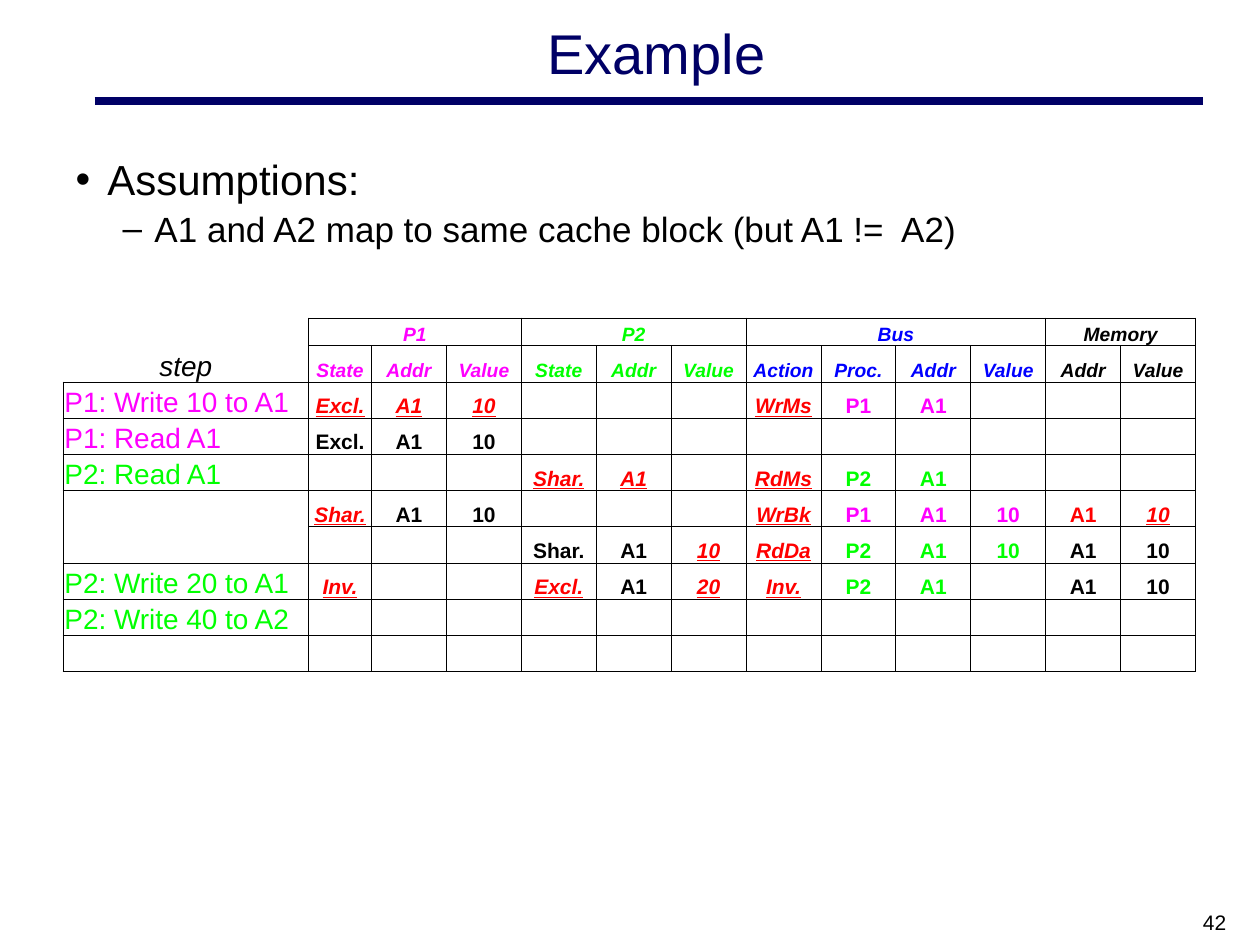
from lxml.etree import SubElement
from pptx import Presentation
from pptx.dml.color import RGBColor
from pptx.enum.shapes import MSO_CONNECTOR
from pptx.enum.text import MSO_ANCHOR, PP_ALIGN
from pptx.oxml.ns import qn
from pptx.util import Cm, Pt

COLORS = {"navy": "000066", "K": "000000", "M": "FF00FF", "G": "00FF00",
          "B": "0000FF", "R": "FF0000"}
NO_STYLE = "{2D5ABB26-0587-4C30-8999-92F81FD0307C}"

# Each entry is "colour:text"; colour U is red, italic and underlined.
GROUPS = [("P1", "M", ["State", "Addr", "Value"]),
          ("P2", "G", ["State", "Addr", "Value"]),
          ("Bus", "B", ["Action", "Proc.", "Addr", "Value"]),
          ("Memory", "K", ["Addr", "Value"])]
STEPS = [
    ("M:P1: Write 10 to A1", "U:Excl.|U:A1|U:10||||U:WrMs|M:P1|M:A1|||"),
    ("M:P1: Read A1", "K:Excl.|K:A1|K:10|||||||||"),
    ("G:P2: Read A1", "|||U:Shar.|U:A1||U:RdMs|G:P2|G:A1|||"),
    ("", "U:Shar.|K:A1|K:10||||U:WrBk|M:P1|M:A1|M:10|R:A1|U:10"),
    ("", "|||K:Shar.|K:A1|U:10|U:RdDa|G:P2|G:A1|G:10|K:A1|K:10"),
    ("G:P2: Write 20 to A1", "U:Inv.|||U:Excl.|K:A1|U:20|U:Inv.|G:P2|G:A1||K:A1|K:10"),
    ("G:P2: Write 40 to A2", "|||||||||||"),
    ("", "|||||||||||"),
]


def style(p, size, color, align=PP_ALIGN.LEFT, bold=False, italic=False, underline=False):
    p.alignment = align
    f = p.font
    f.name, f.size = "Arial", Pt(size)
    f.bold, f.italic, f.underline = bold, italic, underline
    f.color.rgb = RGBColor.from_string(COLORS[color])


def add_borders(cell, edges):
    """Draw thin black lines on the given edges, a string of letters from LRTB."""
    tc_pr = cell._tc.get_or_add_tcPr()
    for edge in edges:
        ln = SubElement(tc_pr, qn(f"a:ln{edge}"), w=str(Pt(0.5)))
        fill = SubElement(ln, qn("a:solidFill"))
        SubElement(fill, qn("a:srgbClr"), val=COLORS["K"])


prs = Presentation()
prs.slide_width, prs.slide_height = Cm(25.4), Cm(19.05)
s = prs.slides.add_slide(prs.slide_layouts[1])

# Title and rule
title = s.shapes.title
title.left, title.top, title.width, title.height = Cm(2.34), Cm(0.2), Cm(21.79), Cm(1.7)
title.text_frame.text = "Example"
style(title.text_frame.paragraphs[0], 32, "navy", PP_ALIGN.CENTER)

rule = s.shapes.add_connector(MSO_CONNECTOR.STRAIGHT, Cm(1.91), Cm(2.03), Cm(24.26), Cm(2.03))
rule.line.width = Pt(4.5)
rule.line.color.rgb = RGBColor.from_string(COLORS["navy"])
SubElement(rule._element.spPr, qn("a:effectLst"))

# Assumptions
body = s.placeholders[1]
body.left, body.top, body.width, body.height = Cm(1.27), Cm(2.97), Cm(22.86), Cm(14.05)
tf = body.text_frame
tf.text = "Assumptions:\nA1 and A2 map to same cache block (but A1 !=  A2)"
for level, (p, size, margin) in enumerate(zip(tf.paragraphs, (24, 20), (0.64, 1.59))):
    p.level = level
    p.space_before = Pt(size / 10)
    style(p, size, "K")
    p_pr = p._p.get_or_add_pPr()
    p_pr.set("marL", str(Cm(margin)))
    p_pr.set("indent", str(Cm(-0.64)))

# Page number
number = s.shapes.add_textbox(Cm(19.05), Cm(18.22), Cm(5.92), Cm(0.64))
number.text_frame.word_wrap = True
number.text_frame.text = "42"
style(number.text_frame.paragraphs[0], 12, "K", PP_ALIGN.RIGHT)

# Cache state table
widths = [4.95, 1.27] + [1.51] * 11
heights = [0.56] + [0.73] * (len(STEPS) + 1)
table = s.shapes.add_table(len(heights), len(widths), Cm(1.27), Cm(6.41),
                           Cm(sum(widths)), Cm(sum(heights))).table
table.first_row = table.horz_banding = False
table._tbl.tblPr.find(qn("a:tableStyleId")).text = NO_STYLE
for column, width in zip(table.columns, widths):
    column.width = Cm(width)
for row, height in zip(table.rows, heights):
    row.height = Cm(height)

group_row, field_row = [""], ["K:step"]
for name, color, fields in GROUPS:
    start = len(group_row)
    group_row += [f"{color}:{name}"] + [""] * (len(fields) - 1)
    field_row += [f"{color}:{field}" for field in fields]
    table.cell(0, start).merge(table.cell(0, len(group_row) - 1))
grid = [group_row, field_row] + [[label] + cells.split("|") for label, cells in STEPS]

for i, entries in enumerate(grid):
    for j, entry in enumerate(entries):
        cell = table.cell(i, j)
        cell.vertical_anchor = MSO_ANCHOR.BOTTOM
        cell.margin_left = cell.margin_right = cell.margin_top = Cm(0.03)
        cell.margin_bottom = 0

        # A step without a label continues the step above it.
        edges = "LRTB"
        if j == 0:
            opens = i > 1 and entry
            closes = i > 0 and (i == len(grid) - 1 or grid[i + 1][0])
            edges = ("L" if i > 1 else "") + "R" + ("T" if opens else "") + ("B" if closes else "")
        add_borders(cell, edges)
        cell.fill.background()

        p = cell.text_frame.paragraphs[0]
        if not entry:
            p._p.get_or_add_endParaRPr().set("sz", "1100")
            continue
        color, p.text = entry.split(":", 1)
        changed = color == "U"
        size = 16 if j == 0 else 11 if i < 2 else 12
        align = PP_ALIGN.LEFT if j == 0 and i > 1 else PP_ALIGN.CENTER
        style(p, size, "R" if changed else color, align,
              bold=j > 0, italic=i < 2 or changed, underline=changed)

prs.save("out.pptx")
